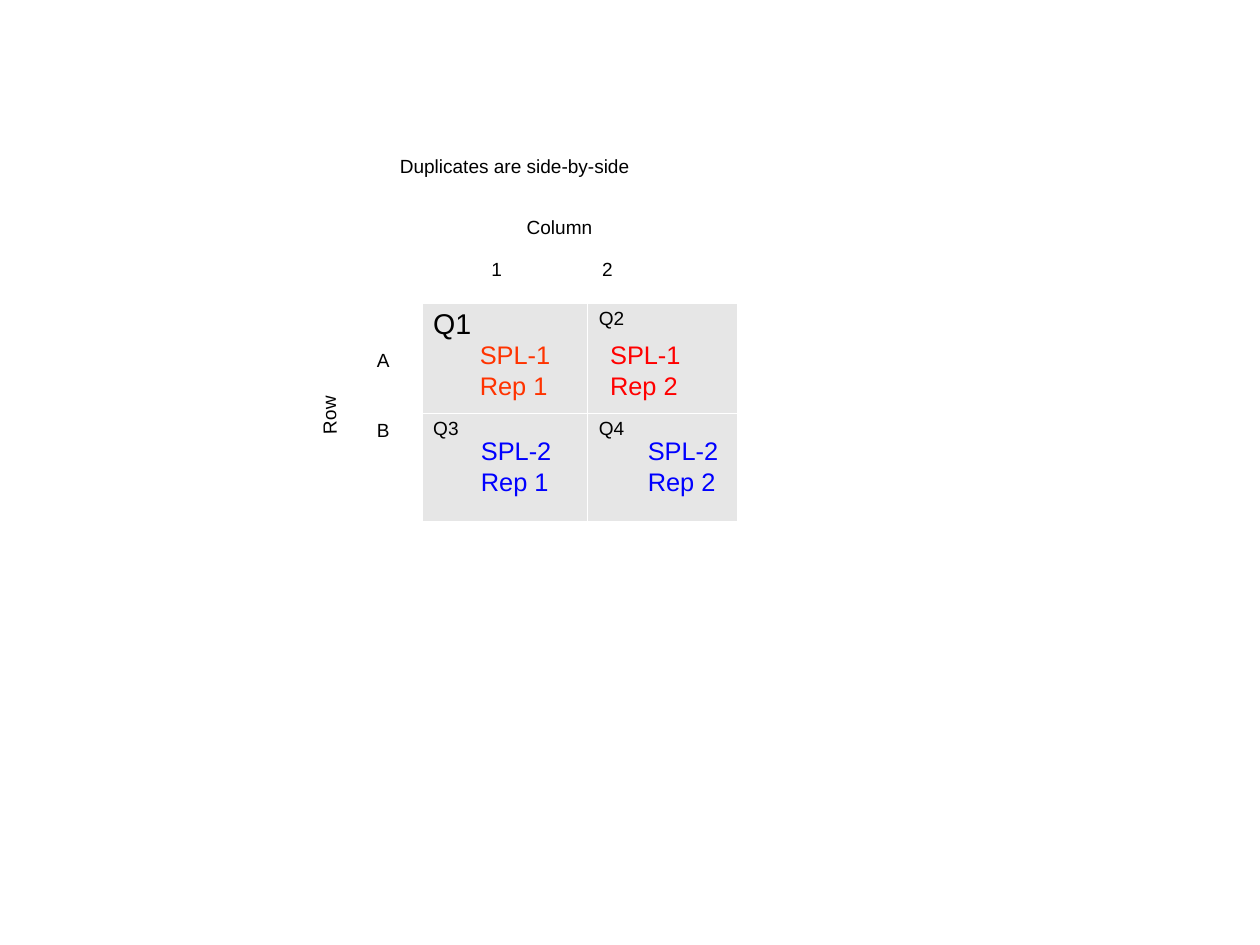
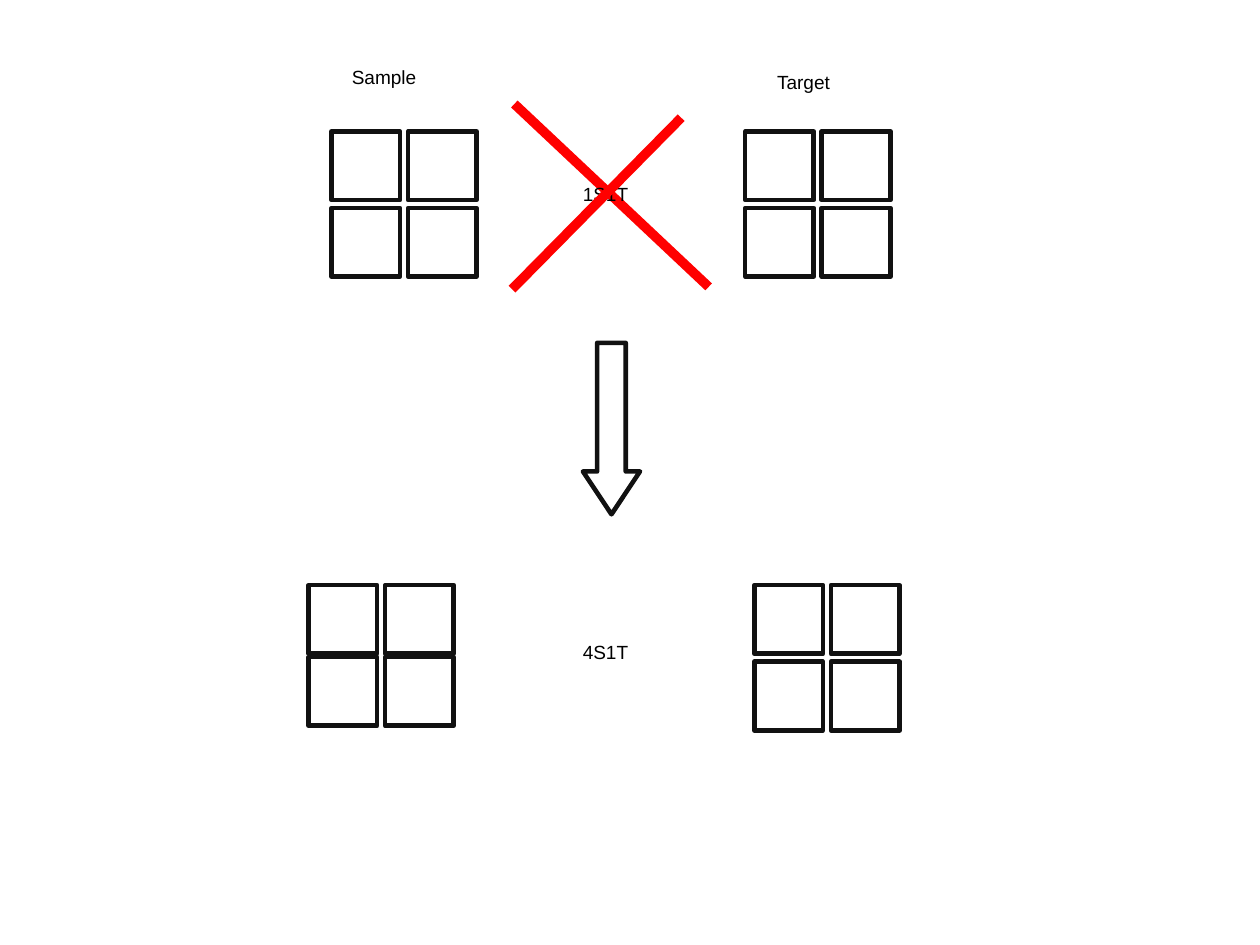
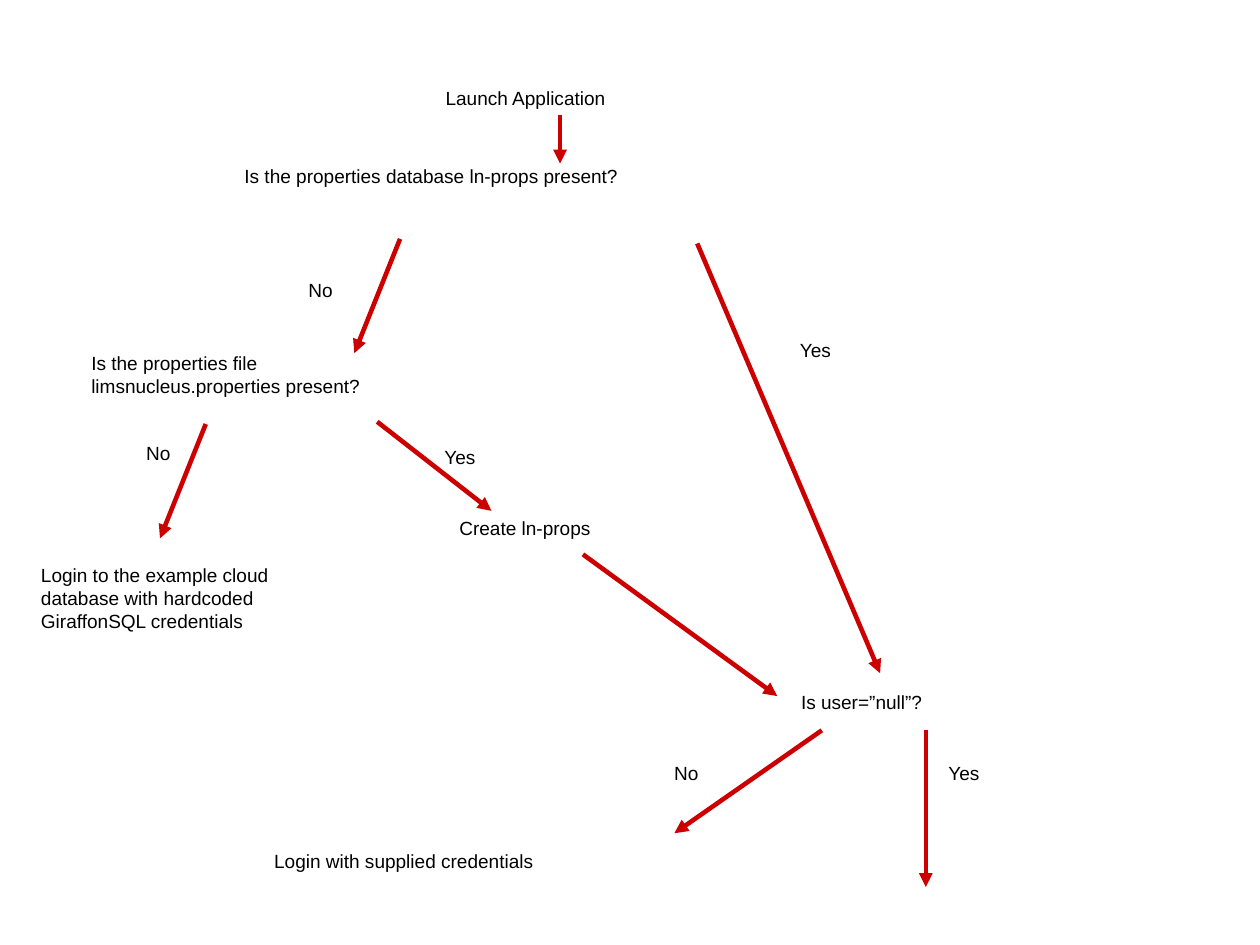
from dataclasses import dataclass
from itertools import product

import lxml.etree
import pptx
import pptx.dml.color
import pptx.enum.shapes
import pptx.oxml.ns
import pptx.util

EMU_PER_PX = 9144
SLIDE_WIDTH = pptx.util.Cm(28)
SLIDE_HEIGHT = pptx.util.Cm(21)
FONT = "Arial"
BLACK = pptx.dml.color.RGBColor(0x00, 0x00, 0x00)
WHITE = pptx.dml.color.RGBColor(0xFF, 0xFF, 0xFF)
CELL_GREY = pptx.dml.color.RGBColor(0xE6, 0xE6, 0xE6)
OUTLINE = pptx.dml.color.RGBColor(0x11, 0x11, 0x11)
ORANGE = pptx.dml.color.RGBColor(0xFF, 0x33, 0x00)
RED = pptx.dml.color.RGBColor(0xFF, 0x00, 0x00)
BLUE = pptx.dml.color.RGBColor(0x00, 0x00, 0xFF)
ARROW_RED = pptx.dml.color.RGBColor(0xCC, 0x00, 0x00)
LINE_PT = 2.89
CROSS_PT = 6
SQUARE = 60
SQUARE_PITCH = 67
SHAPES = pptx.enum.shapes.MSO_SHAPE


@dataclass(frozen=True)
class Label:
    text: str
    x: int
    y: int
    w: int
    h: int = 38
    size: int = 12
    color: pptx.dml.color.RGBColor = BLACK
    rotation: float = 0
    gap: float = 0
    tab: int = 0


@dataclass(frozen=True)
class Line:
    x1: int
    y1: int
    x2: int
    y2: int


@dataclass(frozen=True)
class Plate:
    x: int
    y: int
    row_pitch: int = SQUARE_PITCH


LAYOUT_LABELS = [
    Label("Duplicates are side-by-side", 340, 130, 347),
    Label("A\nB", 320, 300, 40, 122, gap=29.5),
    Label("1\t2", 420, 220, 180, tab=97),
    Label("Column", 451, 184, 106),
    Label("Row", 264, 287, 110, 94, rotation=268.6),
    Label("SPL-1\nRep 1", 410, 292, 90, 59, 16, ORANGE),
    Label("SPL-1\nRep 2", 524, 292, 90, 59, 16, RED),
    Label("SPL-2\nRep 1", 411, 376, 90, 59, 16, BLUE),
    Label("SPL-2\nRep 2", 557, 376, 90, 59, 16, BLUE),
]
QUADRANTS = [[("Q1", 18), ("Q2", 12)], [("Q3", 12), ("Q4", 12)]]

PLATES = [Plate(290, 115), Plate(652, 115), Plate(270, 512, 63), Plate(660, 512)]
PLATE_LABELS = [
    Label("Sample", 298, 52, 104),
    Label("Target", 670, 57, 89),
    Label("4S1T", 500, 555, 79),
    Label("1S1T", 500, 155, 79),
]
CROSS = [Line(450, 91, 620, 251), Line(596, 103, 448, 253)]

FLOW_LABELS = [
    Label("Launch Application", 380, 71, 229),
    Label("Is the properties database ln-props present?", 204, 139, 509),
    Label("Yes", 690, 291, 60),
    Label("No", 260, 239, 52, 50),
    Label("Is the properties file\nlimsnucleus.properties present?", 70, 303, 372, 66),
    Label("No", 118, 381, 52, 50),
    Label("Yes", 379, 385, 60),
    Label("Create ln-props", 392, 447, 232),
    Label("Login to the example cloud\ndatabase with hardcoded\nGiraffonSQL credentials",
          26, 488, 318, 94),
    Label("Is user=”null”?", 691, 599, 179),
    Label("No", 580, 661, 52),
    Label("Yes", 820, 661, 60),
    Label("Login with supplied credentials", 230, 738, 359),
]
FLOW_ARROWS = [
    Line(490, 101, 490, 143),
    Line(610, 213, 770, 589),
    Line(350, 209, 310, 309),
    Line(180, 371, 140, 471),
    Line(330, 369, 430, 447),
    Line(510, 485, 680, 609),
    Line(719, 639, 590, 729),
    Line(810, 639, 810, 776),
]


def px(n: int) -> pptx.util.Emu:
    return pptx.util.Emu(n * EMU_PER_PX)


def add_xml(parent, tag: str, **attributes: str):
    return lxml.etree.SubElement(parent, pptx.oxml.ns.qn(tag), attributes)


def write_text(tf, text: str, *, size: int = 12,
               color: pptx.dml.color.RGBColor = BLACK,
               gap: float = 0, tab: int = 0) -> None:
    for i, line in enumerate(text.split("\n")):
        p = tf.paragraphs[0] if i == 0 else tf.add_paragraph()
        if i and gap:
            p.space_before = pptx.util.Pt(gap)
        if tab:
            tabs = add_xml(p._p.get_or_add_pPr(), "a:tabLst")
            add_xml(tabs, "a:tab", pos=str(px(tab)), algn="l")
        r = p.add_run()
        r.text = line
        r.font.name = FONT
        r.font.size = pptx.util.Pt(size)
        r.font.color.rgb = color


def add_labels(s, labels: list[Label]) -> None:
    for label in labels:
        sp = s.shapes.add_textbox(px(label.x), px(label.y), px(label.w), px(label.h))
        sp.rotation = label.rotation
        sp.text_frame.word_wrap = True
        write_text(sp.text_frame, label.text, size=label.size, color=label.color,
                   gap=label.gap, tab=label.tab)


def add_outline(s, kind: pptx.enum.shapes.MSO_SHAPE, x: int, y: int, w: int, h: int):
    sp = s.shapes.add_shape(kind, px(x), px(y), px(w), px(h))
    sp.shadow.inherit = False
    sp.fill.background()
    sp.line.color.rgb = OUTLINE
    sp.line.width = pptx.util.Pt(LINE_PT)
    add_xml(sp.line._get_or_add_ln(), "a:round")
    return sp


def add_plate(s, plate: Plate) -> None:
    for row, col in product(range(2), repeat=2):
        add_outline(s, SHAPES.FLOWCHART_PROCESS, plate.x + col * SQUARE_PITCH,
                    plate.y + row * plate.row_pitch, SQUARE, SQUARE)


def add_line(s, line: Line, color: pptx.dml.color.RGBColor, width: float,
             arrow: bool = False) -> None:
    cn = s.shapes.add_connector(pptx.enum.shapes.MSO_CONNECTOR.STRAIGHT,
                                px(line.x1), px(line.y1), px(line.x2), px(line.y2))
    cn.line.color.rgb = color
    cn.line.width = pptx.util.Pt(width)
    if arrow:
        add_xml(cn.line._get_or_add_ln(), "a:tailEnd", type="triangle")
    add_xml(cn._element.spPr, "a:effectLst")


def add_quadrants(s) -> None:
    table = s.shapes.add_table(2, 2, px(369), px(265), px(276), px(191)).table
    table.first_row = False
    table.horz_banding = False
    for column, width in zip(table.columns, (145, 131)):
        column.width = px(width)
    for row, height in zip(table.rows, (96, 95)):
        row.height = px(height)
    for row, col in product(range(2), repeat=2):
        cell = table.cell(row, col)
        text, size = QUADRANTS[row][col]
        write_text(cell.text_frame, text, size=size)
        tc_pr = cell._tc.get_or_add_tcPr()
        for side in "LRTB":
            ln = add_xml(tc_pr, f"a:ln{side}", w=str(pptx.util.Pt(0.06)))
            add_xml(add_xml(ln, "a:solidFill"), "a:srgbClr", val=str(WHITE))
        cell.fill.solid()
        cell.fill.fore_color.rgb = CELL_GREY


def build_layout(s) -> None:
    add_quadrants(s)
    add_labels(s, LAYOUT_LABELS)


def build_plates(s) -> None:
    for plate in PLATES:
        add_plate(s, plate)
    falling, rising = CROSS
    add_line(s, falling, RED, CROSS_PT)
    add_labels(s, PLATE_LABELS)
    add_line(s, rising, RED, CROSS_PT)
    arrow = add_outline(s, SHAPES.DOWN_ARROW, 510, 300, 50, 150)
    arrow.adjustments[0] = 0.5
    arrow.adjustments[1] = 0.75


def build_flow(s) -> None:
    add_labels(s, FLOW_LABELS)
    for line in FLOW_ARROWS:
        add_line(s, line, ARROW_RED, LINE_PT, arrow=True)


def main() -> None:
    prs = pptx.Presentation()
    prs.slide_width, prs.slide_height = SLIDE_WIDTH, SLIDE_HEIGHT
    for build in (build_layout, build_plates, build_flow):
        build(prs.slides.add_slide(prs.slide_layouts[6]))
    prs.save("out.pptx")


if __name__ == "__main__":
    main()
